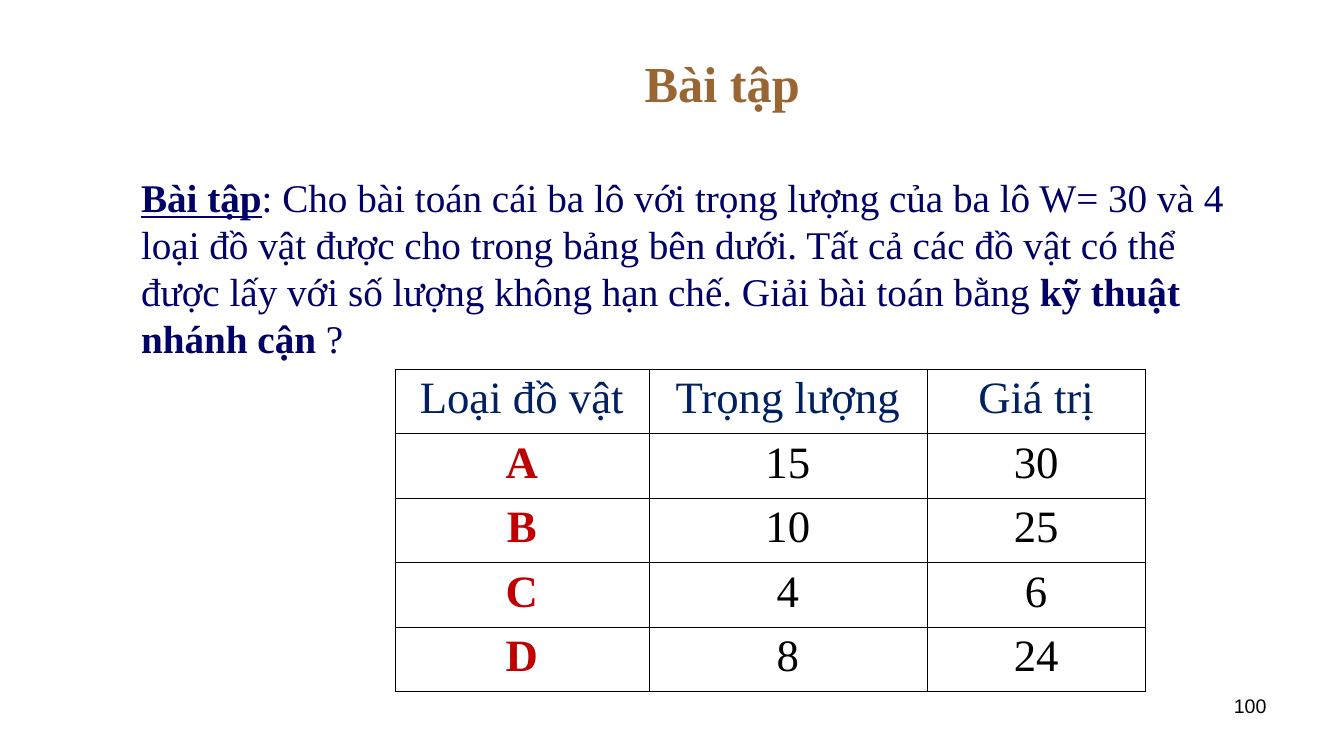
from lxml.etree import SubElement
from pptx import Presentation
from pptx.dml.color import RGBColor
from pptx.enum.text import MSO_ANCHOR, MSO_AUTO_SIZE, PP_ALIGN
from pptx.oxml.ns import qn
from pptx.util import Pt

PX = 9144
COLORS = {"title": "996633", "body": "000066", "header": "002060",
          "item": "C00000", "black": "000000"}
SERIF = "Times New Roman"

TITLE = "Bài tập"
EXERCISE = [
    ("Bài tập", True, True),
    (": Cho bài toán cái ba lô với trọng lượng của ba lô W= 30 và 4 loại đồ vật "
     "được cho trong bảng bên dưới. Tất cả các đồ vật có thể được lấy với số lượng "
     "không hạn chế. Giải bài toán bằng ", False, False),
    ("kỹ thuật nhánh cận", True, False),
    (" ?", False, False),
]
ITEMS = [
    ("Loại đồ vật", "Trọng lượng", "Giá trị"),
    ("A", "15", "30"),
    ("B", "10", "25"),
    ("C", "4", "6"),
    ("D", "8", "24"),
]
COL_WIDTHS = [252, 276, 217]
ROW_HEIGHT = 64
PAGE = "100"


def place(sp, left, top, width, height):
    sp.left, sp.top, sp.width, sp.height = (v * PX for v in (left, top, width, height))


def style(r, size, color, bold=False, font=SERIF):
    r.font.name = font
    r.font.size = Pt(size)
    r.font.bold = bold
    r.font.color.rgb = RGBColor.from_string(COLORS[color])


def set_text(tf, text, align, *look):
    tf.text = text
    p = tf.paragraphs[0]
    p.alignment = align
    style(p.runs[0], *look)


def set_borders(cell):
    tcPr = cell._tc.get_or_add_tcPr()
    for side in ("a:lnL", "a:lnR", "a:lnT", "a:lnB"):
        ln = SubElement(tcPr, qn(side), w=str(Pt(0.45)))
        fill = SubElement(ln, qn("a:solidFill"))
        SubElement(fill, qn("a:srgbClr"), val=COLORS["black"])


def add_title(slide):
    sp = slide.shapes.title
    place(sp, 167, 30, 1100, 103)
    tf = sp.text_frame
    tf.vertical_anchor = MSO_ANCHOR.MIDDLE
    set_text(tf, TITLE, PP_ALIGN.CENTER, 36, "title", True)


def add_exercise(slide):
    sp = slide.placeholders[1]
    place(sp, 92, 167, 1133, 225)
    tf = sp.text_frame
    tf.auto_size = MSO_AUTO_SIZE.NONE
    p = tf.paragraphs[0]
    pPr = p._p.get_or_add_pPr()
    pPr.set("marL", str(38 * PX))
    pPr.set("indent", "0")
    SubElement(pPr, qn("a:buNone"))
    p.space_before = Pt(0)
    for text, bold, underline in EXERCISE:
        r = p.add_run()
        r.text = text
        style(r, 28, "body", bold)
        r.font.underline = underline


def add_items(slide):
    frame = slide.shapes.add_table(
        len(ITEMS), len(COL_WIDTHS), 392 * PX, 366 * PX,
        sum(COL_WIDTHS) * PX, len(ITEMS) * ROW_HEIGHT * PX)
    table = frame.table
    table.first_row = table.horz_banding = False
    for col, width in zip(table.columns, COL_WIDTHS):
        col.width = width * PX
    for i, row in enumerate(ITEMS):
        for j, text in enumerate(row):
            cell = table.cell(i, j)
            color = "header" if i == 0 else "item" if j == 0 else "black"
            set_text(cell.text_frame, text, PP_ALIGN.CENTER, 32, color, color == "item")
            set_borders(cell)
            cell.fill.background()


def add_page(slide):
    sp = slide.shapes.add_textbox(956 * PX, 683 * PX, 311 * PX, 52 * PX)
    sp.text_frame.word_wrap = True
    set_text(sp.text_frame, PAGE, PP_ALIGN.RIGHT, 14, "black", False, "Arial")


def main():
    prs = Presentation()
    prs.slide_width, prs.slide_height = 1334 * PX, 750 * PX
    slide = prs.slides.add_slide(prs.slide_layouts[1])
    add_title(slide)
    add_exercise(slide)
    add_items(slide)
    add_page(slide)
    prs.save("out.pptx")


if __name__ == "__main__":
    main()
